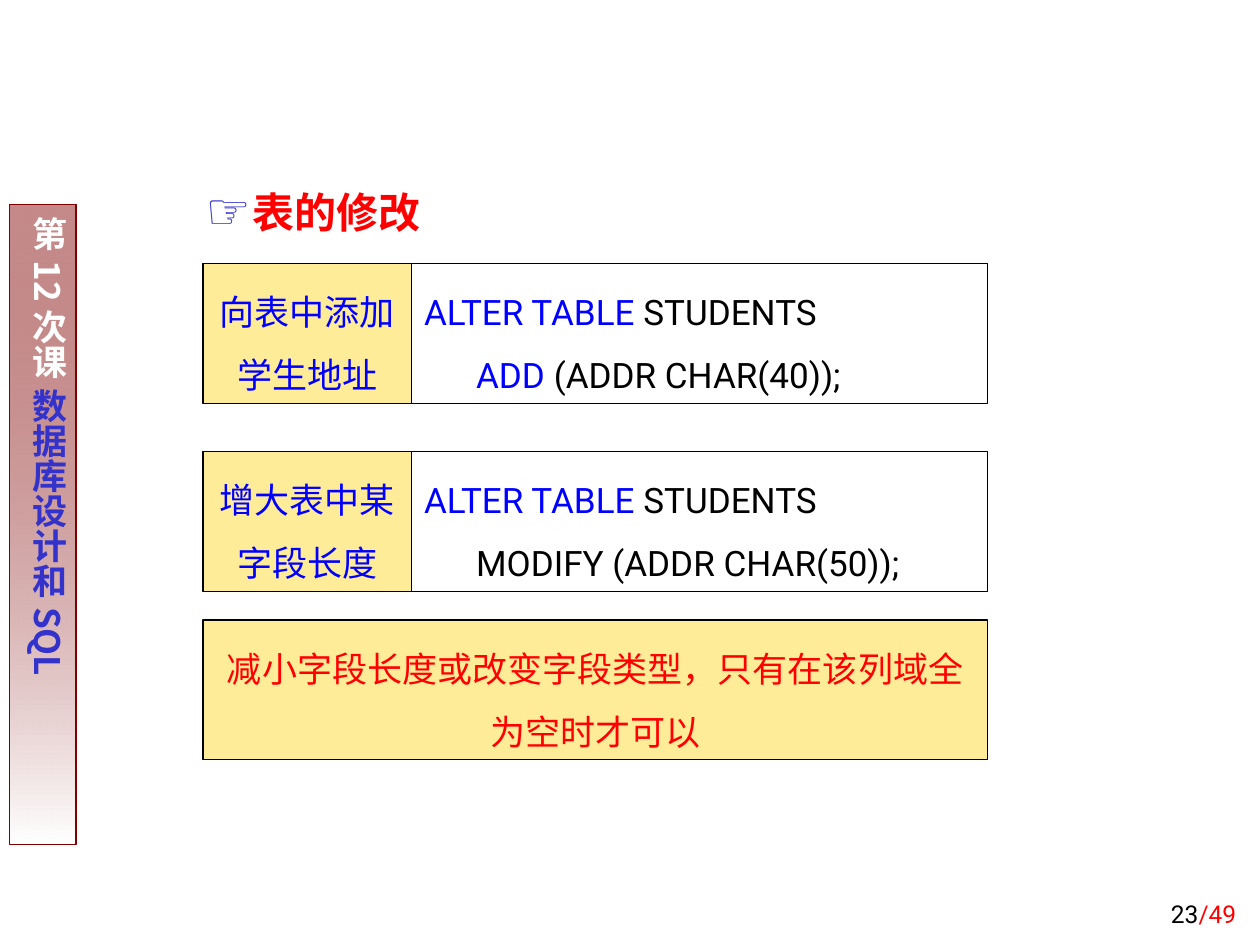
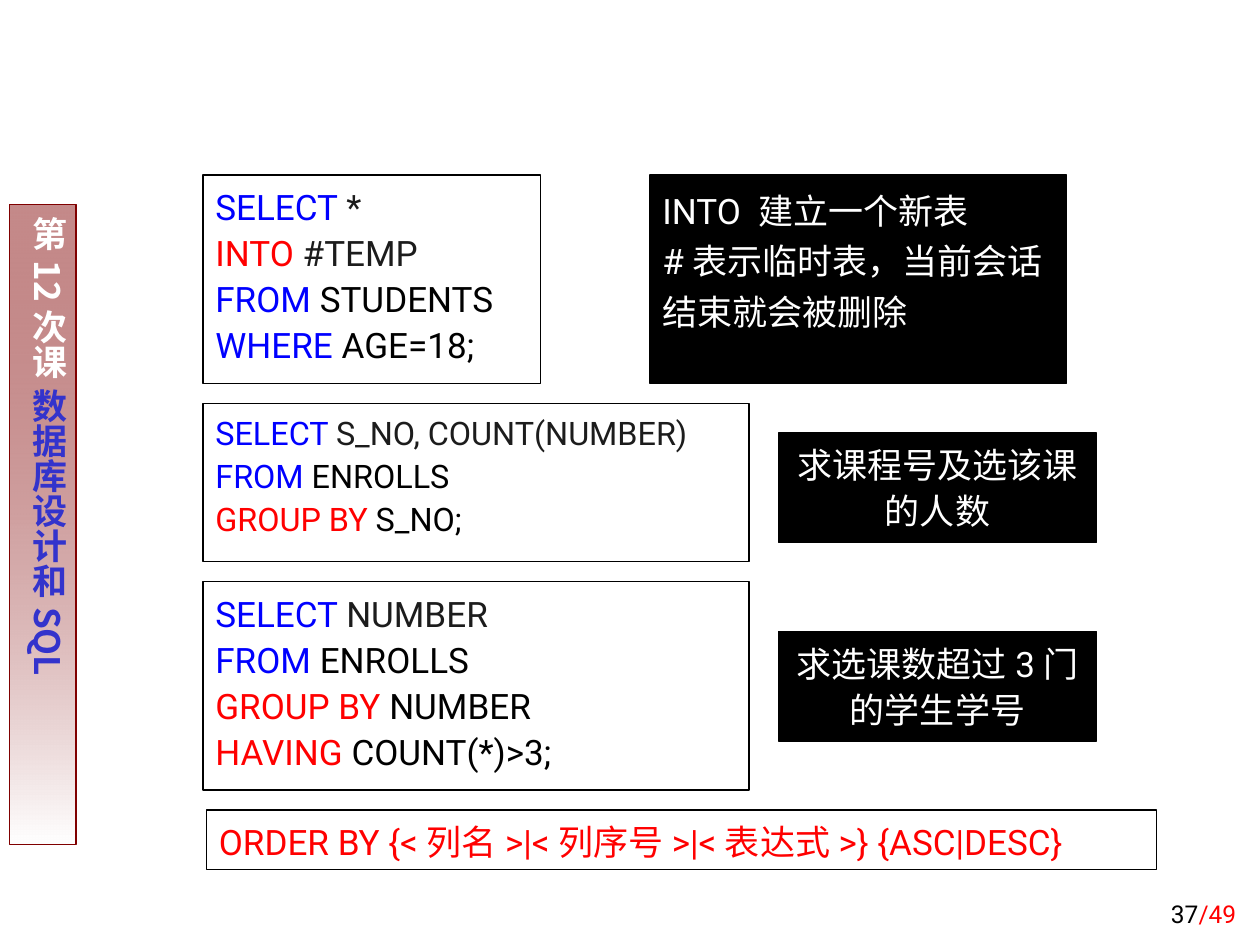
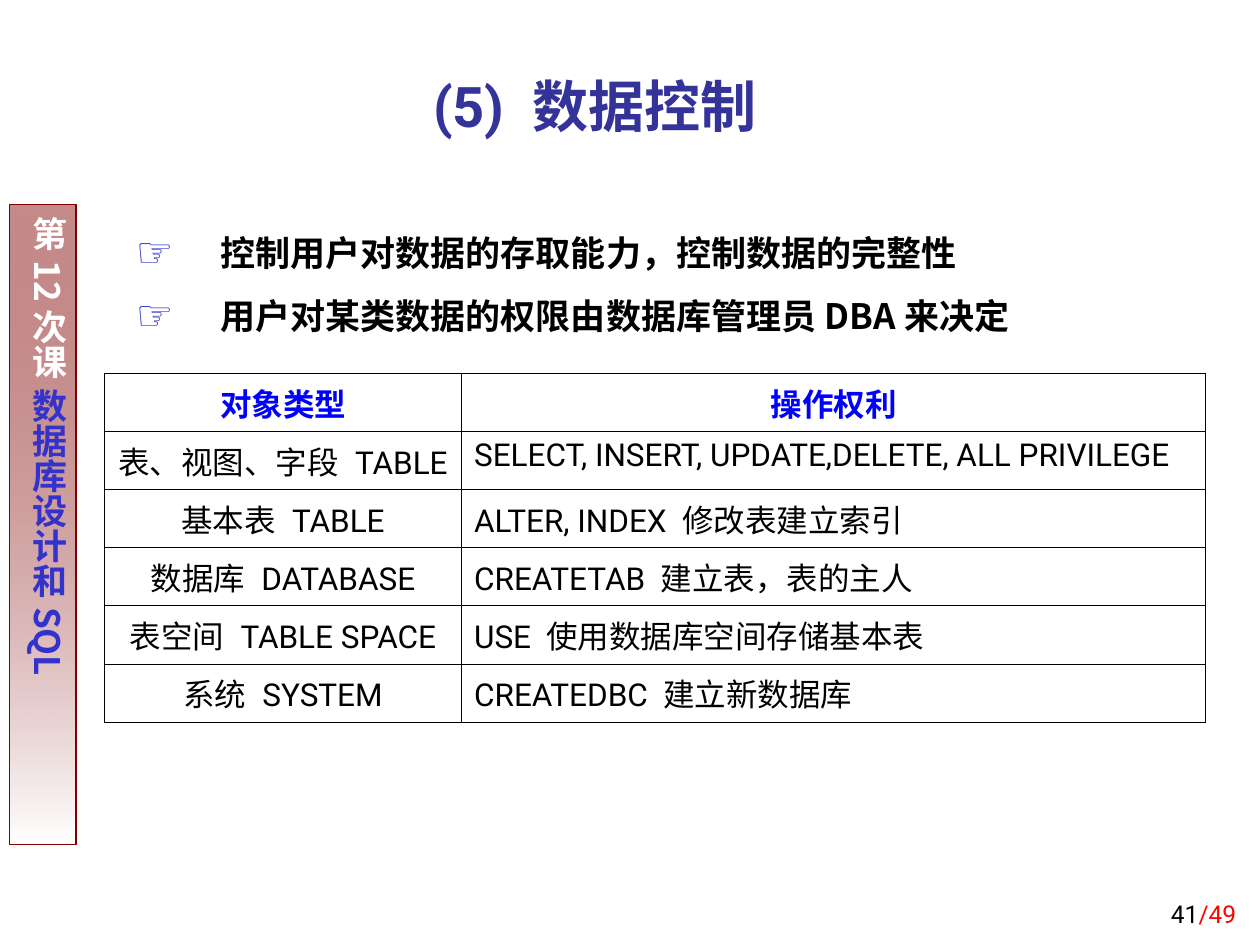
from lxml.etree import SubElement
from pptx import Presentation
from pptx.dml.color import RGBColor
from pptx.enum.shapes import MSO_SHAPE
from pptx.enum.text import MSO_ANCHOR, MSO_AUTO_SIZE, PP_ALIGN
from pptx.oxml.ns import qn
from pptx.util import Pt

LATIN, CHINESE = "Roboto", "Noto Sans CJK SC"
BLACK, WHITE, INK = "000000", "FFFFFF", "1C1C1C"
BLUE, RED, YELLOW = "0000FF", "FF0000", "FFEC99"
MAROON, BULLET_BLUE, TITLE_BLUE = "800000", "3333CC", "333399"
LEFT, CENTER, RIGHT = PP_ALIGN.LEFT, PP_ALIGN.CENTER, PP_ALIGN.RIGHT
LAYOUT_BODY, LAYOUT_BLANK = 1, 6
PAGE_TOTAL = 49

# Each paragraph is a list of (text, colour) runs.
BAND_TEXT = [[("第12次课 ", WHITE), ("数据库设计和SQL", BULLET_BLUE)]]

ALTER_HEADING = [[("表的修改", RED)]]
ALTER_ROWS = [
    ("向表中添加学生地址",
     [[("ALTER TABLE ", BLUE), ("STUDENTS", BLACK)],
      [("      ADD", BLUE), (" (ADDR CHAR(40));", BLACK)]]),
    ("增大表中某字段长度",
     [[("ALTER TABLE ", BLUE), ("STUDENTS", BLACK)],
      [("      MODIFY (ADDR CHAR(50));", BLACK)]]),
]
ALTER_NOTE = "减小字段长度或改变字段类型，只有在该列域全为空时才可以"

# (left, top, width, height), paragraphs, text size
QUERY_BOXES = [
    ((116, 100, 193, 119),
     [[("SELECT ", BLUE), ("*", INK)],
      [("INTO", RED), (" #TEMP", INK)],
      [("FROM", BLUE), (" STUDENTS", BLACK)],
      [("WHERE ", BLUE), ("AGE=18;", BLACK)]], 20),
    ((116, 230.5, 312, 90.5),
     [[("SELECT ", BLUE), ("S_NO, COUNT(NUMBER)", INK)],
      [("FROM", BLUE), (" ENROLLS", BLACK)],
      [("GROUP BY ", RED), ("S_NO;", BLACK)]], 18.5),
    ((116, 332.5, 312, 119),
     [[("SELECT ", BLUE), ("NUMBER", INK)],
      [("FROM", BLUE), (" ENROLLS", BLACK)],
      [("GROUP BY ", RED), ("NUMBER", BLACK)],
      [("HAVING", RED), (" COUNT(*)>3;", BLACK)]], 20),
    ((118, 462.8, 543, 34),
     [[("ORDER BY {<列名>|<列序号>|<表达式>} {ASC|DESC}", RED)]], 20),
]
# (left, top, width, height), lines, alignment, line spacing
QUERY_NOTES = [
    ((371.5, 100, 238, 119),
     ["INTO 建立一个新表", "#表示临时表，当前会话结束就会被删除"], LEFT, 1.2),
    ((445, 247.5, 181.5, 62.5), ["求课程号及选该课的人数"], CENTER, 1.1),
    ((445, 361, 181.5, 62.5), ["求选课数超过3门的学生学号"], CENTER, 1.1),
]

CONTROL_TITLE = [[("(5) 数据控制", TITLE_BLUE)]]
CONTROL_POINTS = [
    [("控制用户对数据的存取能力，控制数据的完整性", BLACK)],
    [("用户对某类数据的权限由数据库管理员DBA来决定", BLACK)],
]
RIGHTS_TABLE = [
    ("对象类型", "操作权利"),
    ("表、视图、字段 TABLE", "SELECT, INSERT, UPDATE,DELETE, ALL PRIVILEGE"),
    ("基本表 TABLE", "ALTER, INDEX 修改表建立索引"),
    ("数据库 DATABASE", "CREATETAB 建立表，表的主人"),
    ("表空间 TABLE SPACE", "USE 使用数据库空间存储基本表"),
    ("系统 SYSTEM", "CREATEDBC 建立新数据库"),
]
RIGHTS_LEFT, RIGHTS_TOP = 59.75, 213.25
RIGHTS_COLUMNS = (204, 425.25)
RIGHTS_ROW_HEIGHT = 33.25


def color(value):
    return RGBColor.from_string(value)


def points(box):
    return [Pt(length) for length in box]


def add_bullet(paragraph, indent):
    properties = paragraph._p.get_or_add_pPr()
    properties.set("marL", str(Pt(indent)))
    properties.set("indent", str(-Pt(indent)))
    bullet_color = SubElement(properties, qn("a:buClr"))
    SubElement(bullet_color, qn("a:srgbClr"), val=BULLET_BLUE)
    SubElement(properties, qn("a:buSzPct"), val="120000")
    SubElement(properties, qn("a:buChar"), char="☞")


def write(frame, paragraphs, size=20, align=LEFT, spacing=None, bold=False,
          latin=LATIN, anchor=MSO_ANCHOR.TOP, indent=None):
    """Fill a text frame with paragraphs of (text, colour) runs."""
    frame.word_wrap = True
    frame.vertical_anchor = anchor
    for index, runs in enumerate(paragraphs):
        paragraph = frame.add_paragraph() if index else frame.paragraphs[0]
        if indent:
            add_bullet(paragraph, indent)
        layout = {"alignment": align, "space_before": Pt(0), "line_spacing": spacing}
        for name, value in layout.items():
            setattr(paragraph, name, value)
        for text, run_color in runs:
            run = paragraph.add_run()
            run.text = text
            for name, value in {"name": latin, "size": Pt(size), "bold": bold}.items():
                setattr(run.font, name, value)
            run.font.color.rgb = color(run_color)
            SubElement(run._r.get_or_add_rPr(), qn("a:ea"), typeface=CHINESE)


def add_box(slide, box, fill=None, line=BLACK):
    shape = slide.shapes.add_shape(MSO_SHAPE.RECTANGLE, *points(box))
    shape.shadow.inherit = False
    shape.line.color.rgb = color(line)
    shape.line.width = Pt(0.75)
    if fill:
        shape.fill.solid()
        shape.fill.fore_color.rgb = color(fill)
    else:
        shape.fill.background()
    return shape


def add_side_band(slide):
    band = add_box(slide, (5.25, 116.75, 38.25, 365.75), line=MAROON)
    band.fill.gradient()
    band.fill.gradient_angle = 270
    for stop, stop_color in zip(band.fill.gradient_stops, (MAROON, WHITE)):
        stop.color.rgb = color(stop_color)
    first_color = next(band._element.iter(qn("a:srgbClr")))
    SubElement(first_color, qn("a:alpha"), val="46000")
    frame = band.text_frame
    margins = {"margin_left": 3.6, "margin_right": 3.6,
               "margin_top": 7.2, "margin_bottom": 7.2}
    for name, value in margins.items():
        setattr(frame, name, Pt(value))
    write(frame, BAND_TEXT, align=CENTER, bold=True, latin=CHINESE)
    frame._txBody.bodyPr.set("vert", "eaVert")


def new_slide(presentation, layout, page):
    slide = presentation.slides.add_slide(presentation.slide_layouts[layout])
    add_side_band(slide)
    footer = slide.shapes.add_textbox(*points((563.75, 498.25, 149.75, 36)))
    write(footer.text_frame, [[(str(page), BLACK), (f"/{PAGE_TOTAL}", RED)]],
          size=14, align=RIGHT, anchor=MSO_ANCHOR.BOTTOM)
    return slide


def fill_placeholder(placeholder, box, paragraphs, **text_format):
    placeholder.left, placeholder.top, placeholder.width, placeholder.height = points(box)
    placeholder.text_frame.auto_size = MSO_AUTO_SIZE.NONE
    write(placeholder.text_frame, paragraphs, **text_format)


def build_alter_slide(presentation):
    slide = new_slide(presentation, LAYOUT_BODY, 23)
    title = slide.shapes.title._element
    title.getparent().remove(title)
    fill_placeholder(slide.placeholders[1], (110.25, 88.5, 571, 57), ALTER_HEADING,
                     size=24, spacing=1.5, bold=True, indent=27)
    left, label_width, code_width, height = 116, 119.25, 329, 80
    for index, (label, code) in enumerate(ALTER_ROWS):
        top = 150.5 + index * 107.5
        code_box = add_box(slide, (left + label_width, top, code_width, height))
        write(code_box.text_frame, code, spacing=1.5)
        label_box = add_box(slide, (left, top, label_width, height), YELLOW)
        write(label_box.text_frame, [[(label, BLUE)]], align=CENTER, spacing=1.5)
    note = add_box(slide, (left, 354.25, label_width + code_width, height), YELLOW)
    write(note.text_frame, [[(ALTER_NOTE, RED)]], align=CENTER, spacing=1.5)


def build_query_slide(presentation):
    slide = new_slide(presentation, LAYOUT_BLANK, 37)
    for box, code, size in QUERY_BOXES:
        write(add_box(slide, box).text_frame, code, size=size, spacing=1.1)
    for box, lines, align, spacing in QUERY_NOTES:
        write(add_box(slide, box, BLACK).text_frame,
              [[(line, WHITE)] for line in lines], align=align, spacing=spacing)


def add_borders(cell):
    properties = cell._tc.get_or_add_tcPr()
    for index, side in enumerate(("lnL", "lnR", "lnT", "lnB")):
        line = properties.makeelement(qn(f"a:{side}"), {"w": str(Pt(0.45))})
        fill = SubElement(line, qn("a:solidFill"))
        SubElement(fill, qn("a:srgbClr"), val=BLACK)
        properties.insert(index, line)


def add_rights_table(slide):
    box = (RIGHTS_LEFT, RIGHTS_TOP, sum(RIGHTS_COLUMNS),
           RIGHTS_ROW_HEIGHT * len(RIGHTS_TABLE))
    table = slide.shapes.add_table(
        len(RIGHTS_TABLE), len(RIGHTS_COLUMNS), *points(box)).table
    table.first_row = table.horz_banding = False
    for column, width in zip(table.columns, RIGHTS_COLUMNS):
        column.width = Pt(width)
    for row_index, texts in enumerate(RIGHTS_TABLE):
        table.rows[row_index].height = Pt(RIGHTS_ROW_HEIGHT)
        is_header = row_index == 0
        for column_index, text in enumerate(texts):
            cell = table.cell(row_index, column_index)
            cell.fill.solid()
            cell.fill.fore_color.rgb = color(WHITE)
            add_borders(cell)
            write(cell.text_frame, [[(text, BLUE if is_header else BLACK)]], size=18,
                  align=CENTER if is_header or column_index == 0 else LEFT,
                  bold=is_header)


def build_control_slide(presentation):
    slide = new_slide(presentation, LAYOUT_BODY, 41)
    fill_placeholder(slide.shapes.title, (121.75, 26, 436.25, 57), CONTROL_TITLE,
                     size=32, align=CENTER, bold=True, anchor=MSO_ANCHOR.BOTTOM)
    fill_placeholder(slide.placeholders[1], (70.5, 116.75, 544.25, 85), CONTROL_POINTS,
                     spacing=1.5, bold=True, latin=CHINESE, indent=48.25)
    add_rights_table(slide)


def main():
    presentation = Presentation()
    presentation.slide_width, presentation.slide_height = Pt(720), Pt(540)
    build_alter_slide(presentation)
    build_query_slide(presentation)
    build_control_slide(presentation)
    presentation.save("out.pptx")


if __name__ == "__main__":
    main()
